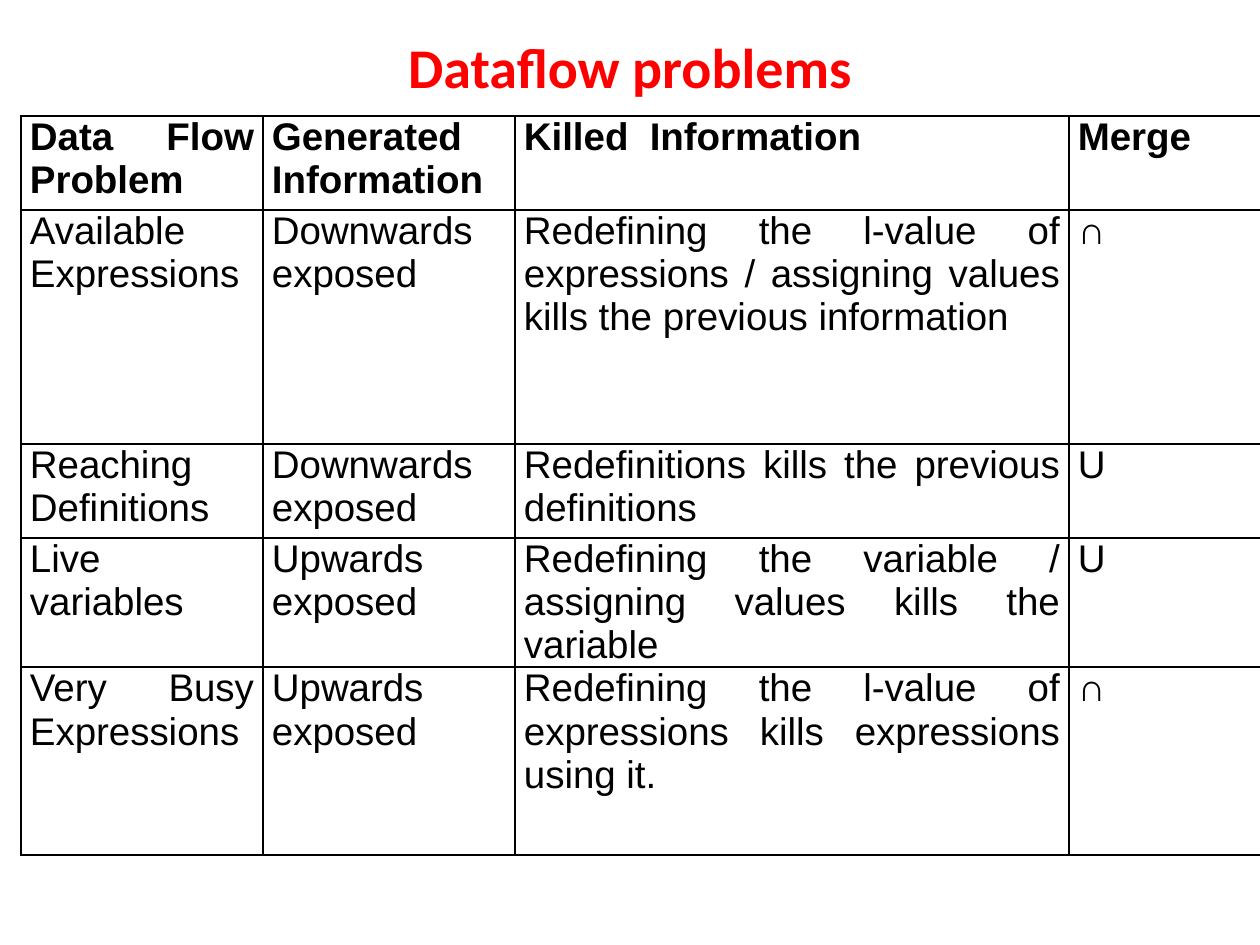
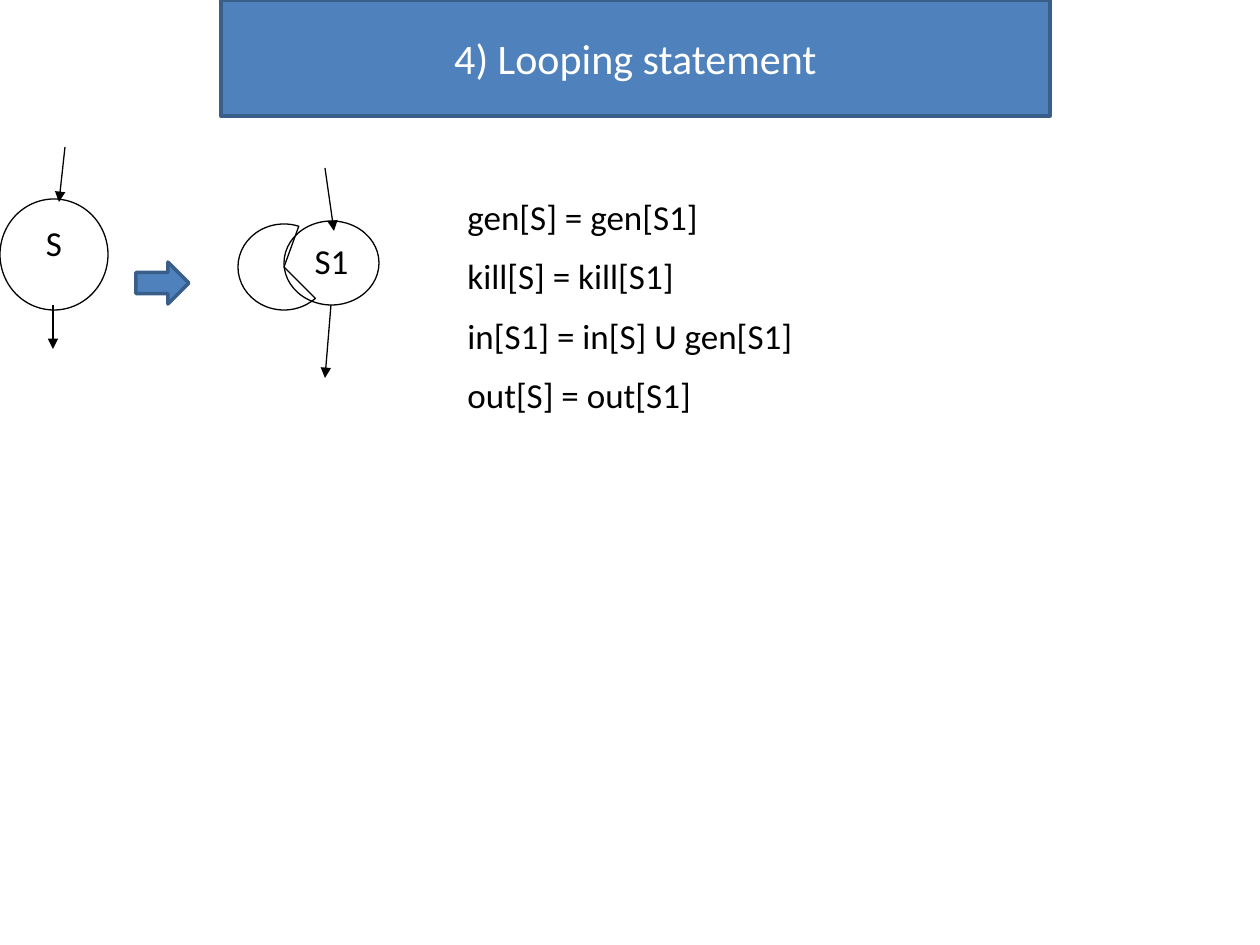
from lxml.etree import SubElement
from pptx import Presentation
from pptx.dml.color import RGBColor
from pptx.enum.shapes import MSO_CONNECTOR, MSO_SHAPE
from pptx.enum.text import MSO_ANCHOR, MSO_AUTO_SIZE, PP_ALIGN
from pptx.oxml import parse_xml
from pptx.oxml.ns import nsdecls, qn
from pptx.util import Emu, Pt

PX_PER_INCH = 126
TITLE_ONLY = 5
COLORS = {
    "black": "000000",
    "white": "FFFFFF",
    "red": "FF0000",
    "blue": "4F81BD",
    "navy": "395E89",
}
HEADER = ["Data Flow Problem", "Generated Information", "Killed  Information", "Merge"]
PROBLEMS = [
    ["Available Expressions", "Downwards exposed",
     "Redefining the l-value of expressions / assigning values kills the previous information", "∩"],
    ["Reaching Definitions", "Downwards exposed",
     "Redefinitions kills the previous definitions", "U"],
    ["Live variables", "Upwards exposed",
     "Redefining the variable / assigning values kills the variable", "U"],
    ["Very Busy Expressions", "Upwards exposed",
     "Redefining the l-value of expressions kills expressions using it.", "∩"],
]
COL_WIDTHS = [242, 252, 554, 192]
ROW_HEIGHTS = [94, 234, 94, 89, 188]
EQUATIONS = ["gen[S] = gen[S1]", "kill[S] = kill[S1]", "in[S1] = in[S] U gen[S1]", "out[S] = out[S1]"]


def px(n):
    return Emu(round(n * 914400 / PX_PER_INCH))


def rgb(name):
    return RGBColor.from_string(COLORS[name])


def write(tf, *lines, size=20, font="Calibri", color="black", bold=False,
          align=PP_ALIGN.LEFT, gap=0):
    """Fill a text frame with one paragraph per line, gap points apart."""
    for i, line in enumerate(lines):
        p = tf.add_paragraph() if i else tf.paragraphs[0]
        p.alignment = align
        p.space_before = Pt(gap if i else 0)
        r = p.add_run()
        r.text = line
        r.font.size = Pt(size)
        r.font.name = font
        r.font.bold = bold
        r.font.color.rgb = rgb(color)


def paint(sp, fill, line, width):
    if fill:
        sp.fill.solid()
        sp.fill.fore_color.rgb = rgb(fill)
    else:
        sp.fill.background()
    sp.line.color.rgb = rgb(line)
    sp.line.width = Pt(width)


def add_title(s, text, x, y, w, h, **fmt):
    sp = s.shapes.title
    sp.left, sp.top, sp.width, sp.height = map(px, (x, y, w, h))
    tf = sp.text_frame
    tf.auto_size = MSO_AUTO_SIZE.NONE
    tf.vertical_anchor = MSO_ANCHOR.MIDDLE
    write(tf, text, align=PP_ALIGN.CENTER, **fmt)
    return sp


def add_preset(s, kind, x, y, w, h, fill=None, line="black", width=0.75):
    sp = s.shapes.add_shape(kind, px(x), px(y), px(w), px(h))
    sp.shadow.inherit = False
    paint(sp, fill, line, width)
    return sp


def add_arrow(s, x1, y1, x2, y2):
    cxn = s.shapes.add_connector(MSO_CONNECTOR.STRAIGHT, px(x1), px(y1), px(x2), px(y2))
    cxn.line.color.rgb = rgb("black")
    cxn.line.width = Pt(0.75)
    SubElement(cxn.line._get_or_add_ln(), qn("a:tailEnd"), type="triangle")
    SubElement(cxn._element.spPr, qn("a:effectLst"))


def add_node(s, label, x, y, w, h):
    sp = add_preset(s, MSO_SHAPE.OVAL, x, y, w, h, fill="white")
    sp.text_frame.vertical_anchor = MSO_ANCHOR.TOP
    write(sp.text_frame, label, align=PP_ALIGN.CENTER)


def format_cell(cell, text, bold):
    cell.margin_left = cell.margin_right = px(9)
    cell.margin_top = cell.margin_bottom = 0
    write(cell.text_frame, text, size=22, font="Arial", bold=bold, align=PP_ALIGN.JUSTIFY)
    tc_pr = cell._tc.get_or_add_tcPr()
    for side in "LRTB":
        tc_pr.append(parse_xml(
            f'<a:ln{side} {nsdecls("a")} w="{Pt(1)}"><a:solidFill>'
            f'<a:srgbClr val="{COLORS["black"]}"/></a:solidFill></a:ln{side}>'))
    cell.fill.background()


def add_problem_table(s, x, y):
    rows = [HEADER] + PROBLEMS
    table = s.shapes.add_table(len(rows), len(HEADER), px(x), px(y),
                               px(sum(COL_WIDTHS)), px(sum(ROW_HEIGHTS))).table
    table.first_row = table.horz_banding = False
    for col, w in zip(table.columns, COL_WIDTHS):
        col.width = px(w)
    for i, (row, h, texts) in enumerate(zip(table.rows, ROW_HEIGHTS, rows)):
        row.height = px(h)
        for cell, text in zip(row.cells, texts):
            format_cell(cell, text, bold=i == 0)


def add_statement(s, x, y):
    """Single node S with its entry and exit arrows."""
    add_node(s, "S", x, y + 52, 108, 111)
    add_arrow(s, x + 53, y + 158, x + 53, y + 202)
    add_arrow(s, x + 65, y, x + 59, y + 55)


def add_loop(s, x, y):
    """Node S1 with a back loop on its left."""
    add_node(s, "S1", x + 46, y + 53, 95, 84)
    loop = add_preset(s, MSO_SHAPE.PIE, x, y + 56, 92, 86)
    for i, degrees in enumerate((45, 290)):
        loop.adjustments[i] = degrees * 0.6  # 60000 units per degree, scaled by 100000
    add_arrow(s, x + 93, y + 137, x + 87, y + 210)
    add_arrow(s, x + 87, y, x + 96, y + 63)


def add_equations(s, x, y, w, h):
    tf = s.shapes.add_textbox(px(x), px(y), px(w), px(h)).text_frame
    tf.word_wrap = True
    write(tf, *EQUATIONS, gap=10)


def problems_slide(prs):
    s = prs.slides.add_slide(prs.slide_layouts[TITLE_ONLY])
    add_title(s, "Dataflow problems", 63, 38, 1134, 57, size=32, color="red", bold=True)
    add_problem_table(s, 21, 116)


def looping_slide(prs):
    s = prs.slides.add_slide(prs.slide_layouts[TITLE_ONLY])
    banner = add_title(s, "4) Looping statement", 221, 0, 829, 116, size=24, color="white")
    paint(banner, "blue", "navy", 2)
    add_loop(s, 238, 168)
    add_equations(s, 455, 189, 563, 242)
    add_statement(s, 0, 147)
    add_preset(s, MSO_SHAPE.RIGHT_ARROW, 136, 262, 53, 42, fill="blue", line="navy", width=2)


def main():
    prs = Presentation()
    prs.slide_width, prs.slide_height = px(1260), px(945)
    problems_slide(prs)
    looping_slide(prs)
    prs.save("out.pptx")


if __name__ == "__main__":
    main()
